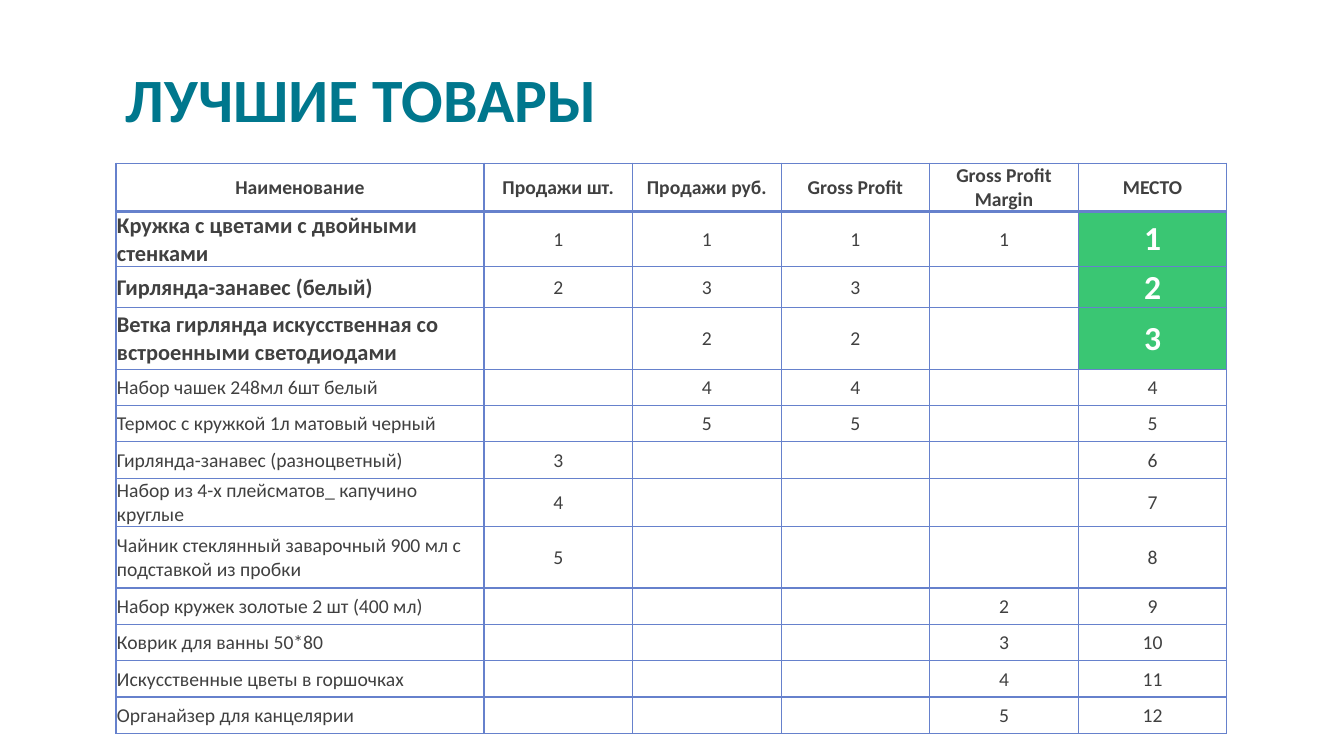
from dataclasses import dataclass

from lxml.etree import SubElement as Sub
from pptx import Presentation
from pptx.dml.color import RGBColor as Rgb
from pptx.enum.text import MSO_ANCHOR as Anchor, PP_ALIGN as Align
from pptx.oxml.ns import qn
from pptx.util import Inches, Pt


@dataclass(frozen=True)
class Theme:
    font: str = "Calibri"
    title: str = "00778D"
    text: str = "404040"
    line: str = "6681CC"
    win: str = "3AC673"
    white: str = "FFFFFF"
    head: int = 44
    rank: int = 24
    top: int = 16
    body: int = 14


THEME = Theme()
WIDE, HIGH = Inches(13.33), Inches(7.5)

# Boxes as shares of the slide: left, top, width, height
TITLE = (0.0863, 0.072, 0.8267, 0.1133)
TABLE = (0.0863, 0.216, 0.8267, 0.75)

# Relative sizes of the table's columns and rows
COLS = [3.65] + [1.474] * 5
ROWS = [0.47, 0.53, 0.4, 0.61] + [0.36] * 3 + [0.47, 0.61] + [0.36] * 4
WINNERS = 3

HEADS = ["Наименование", "Продажи шт.", "Продажи руб.",
         "Gross Profit", "Gross Profit Margin", "МЕСТО"]

# Each product with its rank by units, revenue, profit and margin
GOODS = [
    ("Кружка с цветами с двойными стенками", 1, 1, 1, 1),
    ("Гирлянда-занавес (белый)", 2, 3, 3, ""),
    ("Ветка гирлянда искусственная со встроенными светодиодами", "", 2, 2, ""),
    ("Набор чашек 248мл 6шт белый", "", 4, 4, ""),
    ("Термос с кружкой 1л матовый черный", "", 5, 5, ""),
    ("Гирлянда-занавес (разноцветный)", 3, "", "", ""),
    ("Набор из 4-х плейсматов_ капучино круглые", 4, "", "", ""),
    ("Чайник стеклянный заварочный 900 мл с подставкой из пробки",
     5, "", "", ""),
    ("Набор кружек золотые 2 шт (400 мл)", "", "", "", 2),
    ("Коврик для ванны 50*80", "", "", "", 3),
    ("Искусственные цветы в горшочках", "", "", "", 4),
    ("Органайзер для канцелярии", "", "", "", 5),
]


def place(box):
    return [round(part * side) for part, side in zip(box, (WIDE, HIGH) * 2)]


def write(para, text, size, color, bold):
    run = para.add_run()
    run.text = text
    font = run.font
    font.name, font.size, font.bold = THEME.font, Pt(size), bold
    font.color.rgb = Rgb.from_string(color)


def border(cell, row):
    props = cell._tc.get_or_add_tcPr()
    thick = {0: "B", 1: "T"}.get(row)
    for side in "LRTB":
        width = Pt(2 if side == thick else 1)
        line = Sub(props, qn(f"a:ln{side}"), w=str(width))
        Sub(Sub(line, qn("a:solidFill")), qn("a:srgbClr"), val=THEME.line)


def add_title(slide, box):
    frame = slide.shapes.add_textbox(*place(box)).text_frame
    frame.word_wrap = True
    frame.vertical_anchor = Anchor.BOTTOM
    para = frame.paragraphs[0]
    para.line_spacing = 0.85
    write(para, "ЛУЧШИЕ ТОВАРЫ", THEME.head, THEME.title, True)


def fill_cell(cell, row, col, text):
    top = 1 <= row <= WINNERS
    win = top and col == len(COLS) - 1
    border(cell, row)
    cell.vertical_anchor = Anchor.MIDDLE
    cell.margin_left = cell.margin_right = cell.margin_top = Inches(0.01)
    cell.margin_bottom = 0
    if win:
        cell.fill.solid()
        cell.fill.fore_color.rgb = Rgb.from_string(THEME.win)
    else:
        cell.fill.background()
    if text == "":
        return
    para = cell.text_frame.paragraphs[0]
    para.alignment = Align.LEFT if row and col == 0 else Align.CENTER
    lead = top and col == 0
    size = THEME.rank if win else THEME.top if lead else THEME.body
    color = THEME.white if win else THEME.text
    write(para, str(text), size, color, row == 0 or win or lead)


def add_ranks(slide, box):
    left, top, width, height = place(box)
    table = slide.shapes.add_table(
        len(ROWS), len(COLS), left, top, width, height).table
    table.first_row = table.horz_banding = False
    for col, share in zip(table.columns, COLS):
        col.width = round(width * share / sum(COLS))
    for row, share in zip(table.rows, ROWS):
        row.height = round(height * share / sum(ROWS))
    lines = [HEADS] + [(*item, spot) for spot, item in enumerate(GOODS, 1)]
    for row, line in enumerate(lines):
        for col, text in enumerate(line):
            fill_cell(table.cell(row, col), row, col, text)


def main():
    deck = Presentation()
    deck.slide_width, deck.slide_height = WIDE, HIGH
    slide = deck.slides.add_slide(deck.slide_layouts[6])
    add_title(slide, TITLE)
    add_ranks(slide, TABLE)
    deck.save("out.pptx")


if __name__ == "__main__":
    main()
